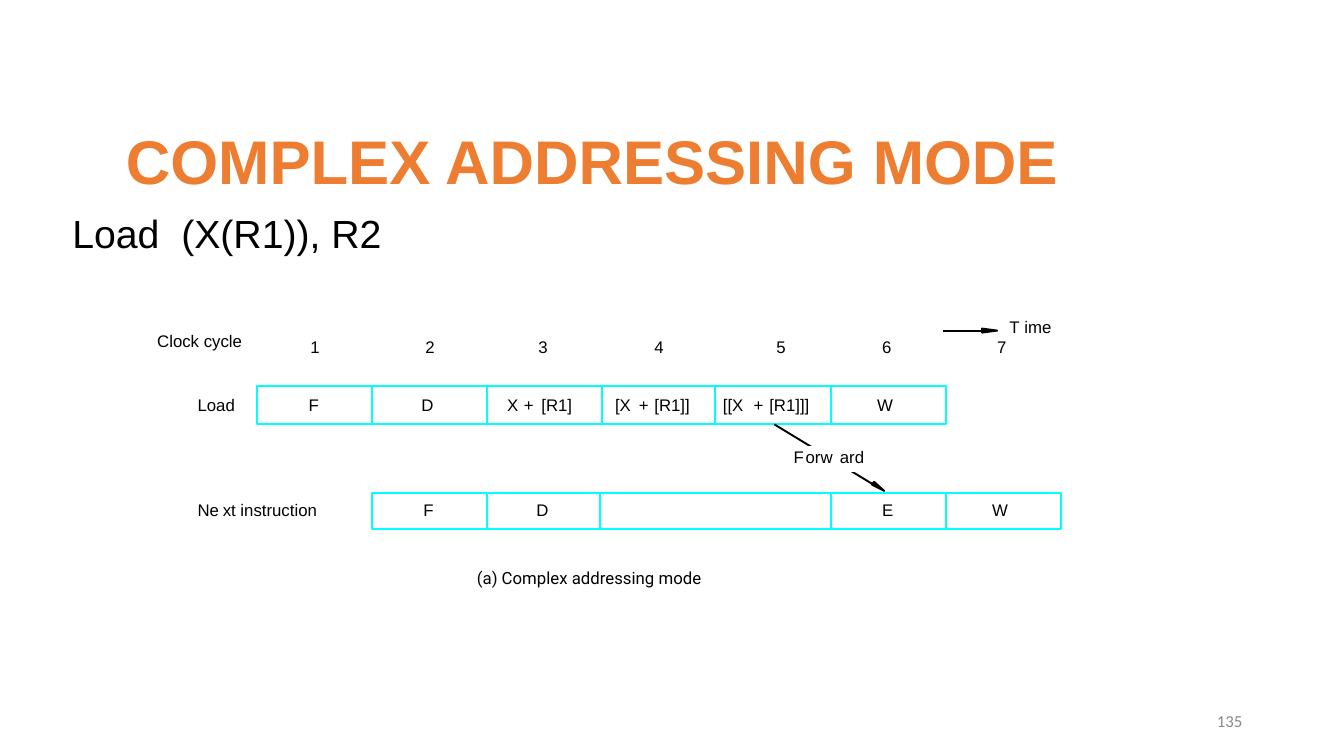
"""Build the complex addressing mode pipeline slide."""
from dataclasses import dataclass
from itertools import pairwise

from lxml.etree import SubElement
from pptx import Presentation
from pptx.dml.color import RGBColor
from pptx.enum.shapes import MSO_CONNECTOR as Conn, MSO_SHAPE as Shape
from pptx.enum.text import MSO_ANCHOR as Anchor, PP_ALIGN as Align
from pptx.oxml.ns import qn
from pptx.util import Inches, Pt

BLACK = RGBColor(0x00, 0x00, 0x00)
WHITE = RGBColor(0xFF, 0xFF, 0xFF)
CYAN = RGBColor(0x00, 0xFF, 0xFF)
ORANGE = RGBColor(0xED, 0x7D, 0x31)
GREY = RGBColor(0x89, 0x89, 0x89)
LINE = Pt(1.37)
SLACK = 0.05


@dataclass(frozen=True)
class Lane:
    top: float
    high: float
    edges: tuple[float, ...]


@dataclass(frozen=True)
class Label:
    left: float
    wide: float
    text: str


@dataclass(frozen=True)
class Arrow:
    start: tuple[float, float]
    end: tuple[float, float]
    head: tuple[tuple[float, float], ...]


LANES = (
    Lane(3.83, 0.38, (2.55, 3.69, 4.83, 5.97, 7.09, 8.24, 9.38)),
    Lane(4.89, 0.36, (3.69, 4.83, 5.95, 8.24, 9.38, 10.52)),
)
CYCLES = (3.08, 4.22, 5.34, 6.49, 7.7, 8.75, 9.89)
LABELS = {
    3.14: (Label(10.01, 0.1, "T"), Label(10.16, 0.27, "ime")),
    3.28: (Label(1.56, 0.85, "Clock cycle"),),
    3.34: tuple(Label(x, 0.09, str(n)) for n, x in enumerate(CYCLES, 1)),
    3.92: (
        Label(1.96, 0.37, "Load"),
        Label(3.06, 0.1, "F"),
        Label(4.18, 0.12, "D"),
        Label(5.03, 0.11, "X"),
        Label(5.15, 0.15, " +"),
        Label(5.37, 0.31, "[R1]"),
        Label(6.1, 0.16, "[X"),
        Label(6.29, 0.15, " +"),
        Label(6.49, 0.36, "[R1]]"),
        Label(7.17, 0.21, "[[X"),
        Label(7.43, 0.15, " +"),
        Label(7.63, 0.4, "[R1]]]"),
        Label(8.7, 0.16, "W"),
    ),
    4.43: (
        Label(7.87, 0.1, "F"),
        Label(7.99, 0.27, "orw"),
        Label(8.33, 0.24, "ard"),
    ),
    4.96: (
        Label(1.96, 0.21, "Ne"),
        Label(2.21, 0.94, "xt instruction"),
        Label(4.2, 0.1, "F"),
        Label(5.32, 0.12, "D"),
        Label(8.75, 0.11, "E"),
        Label(9.84, 0.16, "W"),
    ),
}
ARROWS = (
    Arrow((9.35, 3.28), (9.74, 3.28),
          ((9.74, 3.3), (9.89, 3.28), (9.74, 3.26))),
    Arrow((7.68, 4.21), (8.65, 4.8),
          ((8.65, 4.81), (8.77, 4.87), (8.67, 4.78), (8.65, 4.8))),
)


def write(slide, text: str, left: float, top: float, wide: float, high: float,
          *, size: float = 12, font: str = "Arial", color: RGBColor = BLACK,
          bold: bool = False, align: Align = Align.LEFT,
          anchor: Anchor = Anchor.TOP, pad: bool = False) -> None:
    box = slide.shapes.add_textbox(*map(Inches, (left, top, wide, high)))
    frame = box.text_frame
    frame.word_wrap = True
    frame.vertical_anchor = anchor
    frame.margin_left = frame.margin_right = Inches(0.1 if pad else 0)
    frame.margin_top = frame.margin_bottom = Inches(0.05 if pad else 0)
    para = frame.paragraphs[0]
    para.alignment = align
    run = para.add_run()
    run.text = text
    run.font.size = Pt(size)
    run.font.name = font
    run.font.bold = bold
    run.font.color.rgb = color


def draw_box(slide, left: float, top: float, wide: float, high: float,
             line: RGBColor, fill: RGBColor | None = None) -> None:
    box = slide.shapes.add_shape(
        Shape.RECTANGLE, *map(Inches, (left, top, wide, high)))
    box.shadow.inherit = False
    if fill is None:
        box.fill.background()
    else:
        box.fill.solid()
        box.fill.fore_color.rgb = fill
    box.line.color.rgb = line
    box.line.width = LINE


def draw_lane(slide, lane: Lane) -> None:
    for left, right in pairwise(lane.edges):
        draw_box(slide, left, lane.top, right - left, lane.high, CYAN)


def draw_arrow(slide, arrow: Arrow) -> None:
    stem = slide.shapes.add_connector(
        Conn.STRAIGHT, *map(Inches, arrow.start + arrow.end))
    stem.line.color.rgb = BLACK
    stem.line.width = LINE
    SubElement(stem.element.spPr, qn("a:effectLst"))
    first, *rest = [(Inches(x), Inches(y)) for x, y in arrow.head]
    pen = slide.shapes.build_freeform(*first)
    pen.add_line_segments(rest, close=True)
    tip = pen.convert_to_shape()
    tip.shadow.inherit = False
    tip.fill.solid()
    tip.fill.fore_color.rgb = BLACK
    tip.line.color.rgb = BLACK
    tip.line.width = LINE


def main() -> None:
    deck = Presentation()
    deck.slide_width, deck.slide_height = Inches(13.33), Inches(7.5)
    slide = deck.slides.add_slide(deck.slide_layouts[6])
    write(slide, "135", 9.42, 6.95, 3, 0.4, font="Calibri", color=GREY,
          align=Align.RIGHT, anchor=Anchor.MIDDLE, pad=True)
    write(slide, "COMPLEX ADDRESSING MODE", 1.15, 1.17, 10.94, 0.84,
          size=44, color=ORANGE, bold=True, pad=True)
    write(slide, "Load  (X(R1)), R2", 0.62, 2.03, 3.96, 0.57,
          size=28, pad=True)
    for lane in LANES:
        draw_lane(slide, lane)
    for arrow in ARROWS:
        draw_arrow(slide, arrow)
    draw_box(slide, 7.73, 4.43, 1.02, 0.24, WHITE, WHITE)
    for top, labels in LABELS.items():
        for label in labels:
            write(slide, label.text, label.left, top, label.wide + SLACK, 0.2)
    write(slide, "(a) Complex addressing mode", 4.73, 5.63, 2.24 + SLACK, 0.2,
          font="Roboto")
    deck.save("out.pptx")


if __name__ == "__main__":
    main()
